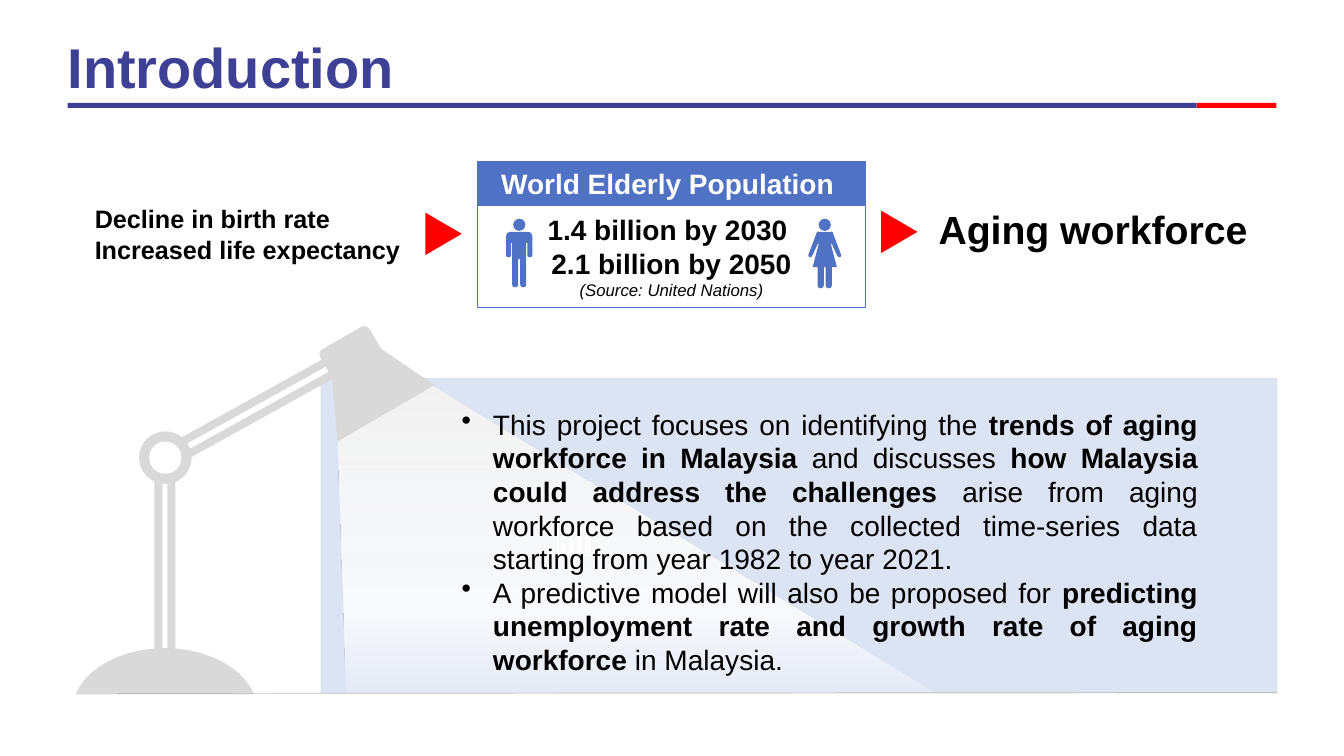
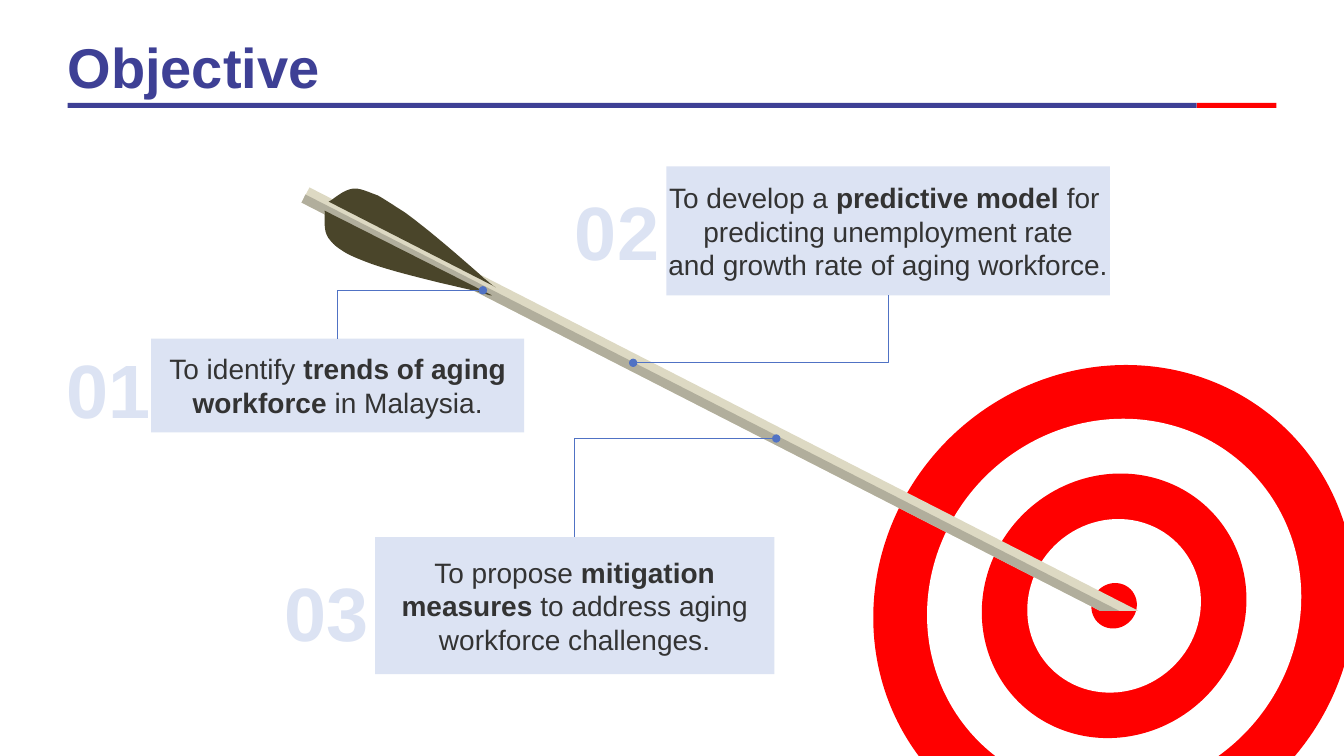
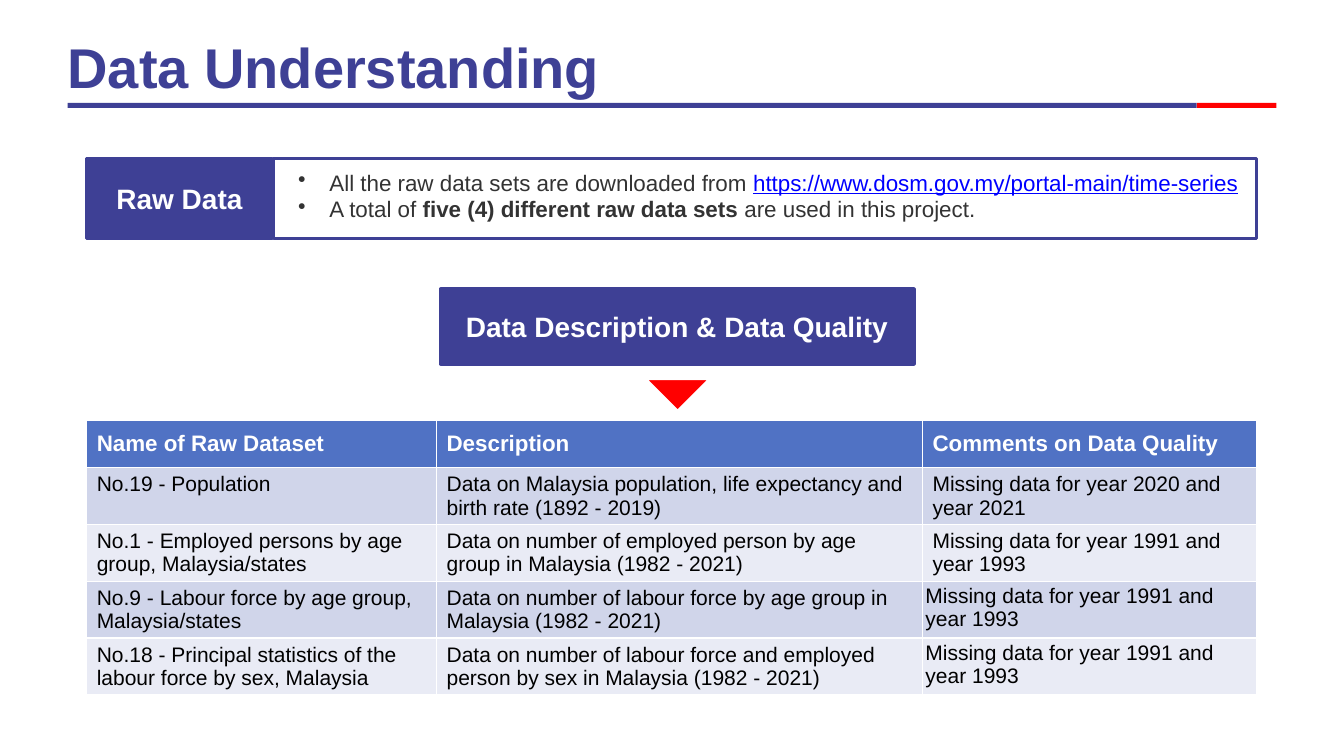
from pptx import Presentation
from pptx.dml.color import RGBColor
from pptx.enum.shapes import MSO_CONNECTOR as Link, MSO_SHAPE as Kind
from pptx.enum.text import MSO_ANCHOR as Anchor, MSO_AUTO_SIZE as Fit, PP_ALIGN as Align
from pptx.oxml import parse_xml
from pptx.oxml.ns import nsdecls, qn
from pptx.oxml.xmlchemy import OxmlElement
from pptx.util import Inches, Pt

# Shared look
FONT = "Arial"
WIDTH, HEIGHT = 13.33, 7.5
LEFT, RIGHT, RULE_SPLIT = 0.67, 12.66, 11.87
INSETS = (0.1, 0.05)
COLOURS = {
    "navy": "3E4095", "red": "FF0000", "blue": "5072C4", "pale": "DCE3F3",
    "white": "FFFFFF", "black": "000000", "ink": "333333", "link": "0000FF",
    "lamp": "D9D9D9", "ground": "BFBFBF", "shaft": "DDD9C3",
    "shade": "B1AE9C", "feather": "4A452A", "band": "D0D5EA", "light": "E9EBF5",
}

# Content: ** switches bold on and off, | breaks a line
CAUSES = ["Decline in birth rate", "Increased life expectancy"]
POPULATION = [
    "1.4 billion by 2030 ",
    "2.1 billion by 2050",
    ("(Source: United Nations)", {"size": 12, "bold": False, "italic": True}),
]
PROJECT = [
    "This project focuses on identifying the **trends of aging workforce in Malaysia "
    "**and discusses **how Malaysia could address the challenges **arise from aging "
    "workforce based on the collected time-series data starting from year 1982 to year 2021. ",
    "A predictive model will also be proposed for **predicting unemployment rate and "
    "growth rate of aging workforce **in Malaysia.",
]
# number, number centre, box, text, side joined, dot on the arrow
OBJECTIVES = [
    ("01", (1.08, 3.85), (1.5, 3.36, 3.7, 0.93),
     "To identify **trends of aging workforce **in Malaysia.", 0, (4.79, 2.88)),
    ("02", (6.12, 2.28), (6.61, 1.65, 4.4, 1.28),
     "To develop a **predictive model **for |predicting unemployment rate|"
     "and growth rate of aging workforce.", 2, (6.28, 3.6)),
    ("03", (3.24, 6.06), (3.72, 5.33, 3.96, 1.36),
     "To propose **mitigation measures **to address aging workforce challenges.",
     0, (7.7, 4.35)),
]
RAW_DATA = [
    "All the raw data sets are downloaded from "
    "**https://www.dosm.gov.my/portal-main/time-series",
    "A total of **five (4) different raw data sets **are used in this project.",
]
DATASETS = [
    ("Name of Raw Dataset", "Description", "Comments on Data Quality"),
    ("No.19 - Population",
     "Data on Malaysia population, life expectancy and birth rate (1892 - 2019)",
     "Missing data for year 2020 and year 2021"),
    ("No.1 - Employed persons by age group, Malaysia/states",
     "Data on number of employed person by age group in Malaysia (1982 - 2021)",
     "Missing data for year 1991 and year 1993"),
    ("No.9 - Labour force by age group, Malaysia/states",
     "Data on number of labour force by age group in Malaysia (1982 - 2021)",
     "Missing data for year 1991 and year 1993"),
    ("No.18 - Principal statistics of the labour force by sex, Malaysia",
     "Data on number of labour force and employed person by sex in Malaysia (1982 - 2021)",
     "Missing data for year 1991 and year 1993"),
]

# Outlines: pairs are corners, sextuples are curves
MAN = [(0, 0.13), (0.08, 0.13), (0.11, 0.13, 0.13, 0.15, 0.13, 0.18), (0.13, 0.36),
       (0.13, 0.39, 0.08, 0.39, 0.08, 0.36), (0.08, 0.24), (0.07, 0.24), (0.07, 0.65),
       (0.07, 0.69, 0.01, 0.69, 0.01, 0.65), (0.01, 0.4), (0, 0.4)]
WOMAN = [(0, 0.13), (0.05, 0.13), (0.08, 0.13, 0.07, 0.12, 0.08, 0.14), (0.16, 0.35),
         (0.17, 0.38, 0.14, 0.4, 0.12, 0.36), (0.07, 0.25), (0.06, 0.25), (0.12, 0.48),
         (0.07, 0.48), (0.07, 0.66), (0.07, 0.7, 0.01, 0.7, 0.01, 0.66), (0.01, 0.48),
         (0, 0.48)]
LAMP_BASE = [(1.64, 6.43), (2.06, 6.43, 2.42, 6.63, 2.52, 6.89), (0.75, 6.89),
             (0.85, 6.63, 1.21, 6.43, 1.64, 6.43)]
LAMP_HEAD = [(3.19, 3.47), (3.59, 3.24), (3.62, 3.23, 3.65, 3.24, 3.67, 3.27),
             (3.78, 3.46), (4.31, 3.82), (3.35, 4.38), (3.29, 3.74), (3.18, 3.55),
             (3.16, 3.52, 3.17, 3.49, 3.19, 3.47)]
BEAM = [(3.35, 4.32), (3.44, 6.92), (9.29, 6.88), (4.29, 3.83), (3.54, 4.15)]
TREND = [(5.77, 5.19), (5.83, 5.2), (5.8, 5.25), (5.79, 5.24), (5.58, 5.36),
         (5.56, 5.33), (5.78, 5.21)]
CHART_AXES = [(5.52, 5.17), (5.54, 5.17), (5.54, 5.5), (5.87, 5.5), (5.87, 5.52),
              (5.52, 5.52)]
ARROW = [
    ("shaft", [(3.07, 1.86), (11.29, 6.06), (10.91, 6.06), (2.99, 2.01)]),
    ("shade", [(3.03, 1.93), (11.1, 6.06), (10.91, 6.06), (2.99, 2.01)]),
    ("feather", [(3.45, 2.52), (3.38, 2.48, 3.32, 2.44, 3.28, 2.39),
                 (3.19, 2.3, 3.23, 2.14, 3.22, 2.09), (4.88, 2.93), (4.86, 2.93),
                 (4.82, 2.92, 4.78, 2.9, 4.73, 2.89), (4.55, 2.85, 3.99, 2.72, 3.75, 2.64),
                 (3.63, 2.6, 3.53, 2.56, 3.45, 2.52)]),
    ("feather", [(3.75, 1.94), (3.67, 1.91, 3.6, 1.88, 3.54, 1.87),
                 (3.42, 1.86, 3.31, 1.98, 3.26, 2), (4.92, 2.85), (4.9, 2.84),
                 (4.87, 2.82, 4.84, 2.79, 4.8, 2.76), (4.66, 2.63, 4.23, 2.26, 4.02, 2.11),
                 (3.91, 2.04, 3.82, 1.98, 3.75, 1.94)]),
]


def colour(name):
    return RGBColor.from_string(COLOURS[name])


def inches(lengths):
    return [Inches(length) for length in lengths]


# Shapes
def paint(shape, fill, line=None, weight=0.75):
    shape.shadow.inherit = False
    if fill:
        shape.fill.solid()
        shape.fill.fore_color.rgb = colour(fill)
    else:
        shape.fill.background()
    if line:
        shape.line.color.rgb = colour(line)
        shape.line.width = Pt(weight)
    else:
        shape.line.fill.background()
    return shape


def add_box(page, at, fill, line=None, weight=0.75, kind=Kind.RECTANGLE, turn=0):
    box = page.shapes.add_shape(kind, *inches(at))
    box.rotation = turn
    return paint(box, fill, line, weight)


def add_disc(page, centre, rx, ry, fill, turn=0):
    x, y = centre
    return add_box(page, (x - rx, y - ry, 2 * rx, 2 * ry), fill, kind=Kind.OVAL, turn=turn)


def trace(outline, steps=10):
    """Turn corners and Bezier curves into a list of points."""
    points = []
    for part in outline:
        if len(part) == 2:
            points.append(part)
            continue
        ends = [points[-1], part[:2], part[2:4], part[4:]]
        for step in range(1, steps + 1):
            t = step / steps
            shares = ((1 - t) ** 3, 3 * t * (1 - t) ** 2, 3 * t * t * (1 - t), t ** 3)
            points.append(tuple(sum(s * end[axis] for s, end in zip(shares, ends))
                                for axis in (0, 1)))
    return points


def add_outline(page, points, fill):
    grid = [(x * 1000, y * 1000) for x, y in points]
    builder = page.shapes.build_freeform(*grid[0], scale=Inches(1) / 1000)
    builder.add_line_segments(grid[1:], close=True)
    return paint(builder.convert_to_shape(), fill)


def add_person(page, x, top, half):
    right = trace(half)
    body = right + [(-dx, dy) for dx, dy in reversed(right)]
    add_outline(page, [(x + dx, top + dy) for dx, dy in body], "blue")
    add_disc(page, (x, top + 0.06), 0.06, 0.06, "blue")


def add_line(page, kind, start, end, tint):
    line = page.shapes.add_connector(kind, *inches(start + end))
    line.line.color.rgb = colour(tint)
    line.line.width = Pt(0.5)
    line.element.spPr.append(OxmlElement("a:effectLst"))
    return line


# Text
def write(box, paras, size=20, tint="black", bold=False, align=Align.LEFT,
          anchor=Anchor.MIDDLE, insets=(0, 0), bullet=False):
    frame = box.text_frame
    frame.word_wrap = True
    frame.auto_size = Fit.NONE
    frame.vertical_anchor = anchor
    frame.margin_left = frame.margin_right = Inches(insets[0])
    frame.margin_top = frame.margin_bottom = Inches(insets[1])
    for index, item in enumerate(paras):
        text, style = item if isinstance(item, tuple) else (item, {})
        para = frame.paragraphs[0] if index == 0 else frame.add_paragraph()
        para.alignment = align
        if bullet:
            props = para._p.get_or_add_pPr()
            props.set("marL", str(Inches(0.31)))
            props.set("indent", str(Inches(-0.31)))
            mark = OxmlElement("a:buChar")
            mark.set("char", "•")
            props.append(mark)
        for part, words in enumerate(text.split("**")):
            for row, piece in enumerate(words.split("|")):
                if row:
                    para.add_line_break()
                span = para.add_run()
                span.text = piece
                span.font.name = FONT
                span.font.size = Pt(style.get("size", size))
                span.font.bold = style.get("bold", bold) or part % 2 == 1
                span.font.italic = style.get("italic", False)
                span.font.color.rgb = colour(tint)
    return box


def add_text(page, at, paras, **style):
    return write(page.shapes.add_textbox(*inches(at)), paras, **style)


def add_page(deck, title):
    """A title-only slide with the two-colour rule under its title."""
    page = deck.slides.add_slide(deck.slide_layouts[5])
    head = page.shapes.title
    head.left, head.top, head.width, head.height = inches((LEFT, 0.39, 11.8, 0.62))
    write(head, [title], size=40, tint="navy", bold=True)
    head.text_frame.paragraphs[0].line_spacing = 0.9
    for start, end, fill in ((LEFT, RULE_SPLIT, "navy"), (RULE_SPLIT, RIGHT, "red")):
        add_box(page, (start, 1.02, end - start, 0.05), fill)
    return page


# Slides
def build_introduction(deck):
    page = add_page(deck, "Introduction")
    # Causes, population, effect
    add_text(page, (0.94, 2.02, 3.3, 0.76), CAUSES, size=18, bold=True, anchor=Anchor.TOP)
    add_text(page, (9.15, 2.04, 3.38, 0.57), ["Aging workforce"], size=28, bold=True,
             align=Align.CENTER, anchor=Anchor.TOP)
    for x, y in ((4.19, 2.14), (8.71, 2.12)):
        add_box(page, (x, y, 0.42, 0.36), "red", kind=Kind.ISOSCELES_TRIANGLE, turn=90)
    header = add_box(page, (4.74, 1.6, 3.84, 0.44), "blue", "blue")
    write(header, ["World Elderly Population "], tint="white", bold=True,
          align=Align.CENTER, insets=INSETS)
    figures = add_box(page, (4.74, 2.04, 3.84, 1.01), "white", "blue")
    write(figures, POPULATION, bold=True, align=Align.CENTER, insets=INSETS)
    add_person(page, 5.15, 2.17, MAN)
    add_person(page, 8.18, 2.17, WOMAN)

    # Panel lit by the lamp
    add_box(page, (3.18, 3.75, 9.49, 3.13), "pale")
    beam = add_outline(page, BEAM, "white")
    beam.fill.gradient()
    beam.fill.gradient_angle = 90
    stops = "".join(
        f'<a:gs pos="{pos}000"><a:srgbClr val="{tint}"><a:alpha val="{alpha}000"/></a:srgbClr></a:gs>'
        for pos, tint, alpha in ((0, "FFFFFF", 20), (27, "FFFFFF", 80), (100, "F2F2F2", 100)))
    old = beam.element.spPr.find(".//" + qn("a:gsLst"))
    old.getparent().replace(old, parse_xml(f"<a:gsLst {nsdecls('a')}>{stops}</a:gsLst>"))

    # Lamp
    for x, y, turn in ((2.41, 3.04, 61), (2.48, 3.16, 61), (1.53, 4.54, 0), (1.66, 4.53, 0)):
        add_box(page, (x, y, 0.08, 1.97), "lamp", turn=turn)
    for radius, fill in ((0.26, "lamp"), (0.16, "white")):
        add_disc(page, (1.64, 4.54), radius, radius, fill)
    for outline in (LAMP_BASE, LAMP_HEAD):
        add_outline(page, trace(outline), "lamp")

    # Small white chart sign
    for column, top in enumerate((5.39, 5.35, 5.32, 5.28)):
        add_box(page, (5.56 + 0.08 * column, top, 0.05, 5.49 - top), "white")
    for outline in (TREND, CHART_AXES):
        add_outline(page, outline, "white")

    add_text(page, (4.58, 4.04, 7.3, 2.67), PROJECT, align=Align.JUSTIFY,
             anchor=Anchor.TOP, bullet=True)
    add_line(page, Link.STRAIGHT, (1.16, 6.88), (12.67, 6.87), "ground")


def build_objective(deck):
    page = add_page(deck, "Objective")
    # Target and arrow
    for ring, radius in enumerate((2.33, 1.81, 1.28, 0.84, 0.22)):
        add_disc(page, (11.05, 6.01), radius, radius * 1.05,
                 "white" if ring % 2 else "red", turn=45)
    for fill, outline in ARROW:
        add_outline(page, trace(outline), fill)

    # Numbered objectives, each tied to a dot on the arrow
    for number, (x, y), at, text, side, dot in OBJECTIVES:
        add_text(page, (x - 0.6, y - 0.45, 1.2, 0.9), [number], size=54, tint="pale",
                 bold=True, align=Align.CENTER)
        box = write(add_box(page, at, "pale"), [text], tint="ink", align=Align.CENTER)
        left, top, width, height = at
        join = (left + width / 2, top + (height if side == 2 else 0))
        line = add_line(page, Link.ELBOW, dot, join, "blue")
        line.element.spPr.find(qn("a:prstGeom")).set("prst", "bentConnector2")
        line.end_connect(box, side)
        tip = OxmlElement("a:headEnd")
        tip.set("type", "oval")
        line.line._get_or_add_ln().append(tip)


def build_data(deck):
    page = add_page(deck, "Data Understanding")
    # Raw data
    links = add_text(page, (2.86, 1.57, 9.67, 0.74), RAW_DATA, size=16, tint="ink",
                     insets=INSETS, bullet=True)
    address = links.text_frame.paragraphs[0].runs[1].font
    address.bold, address.underline = False, True
    address.color.rgb = colour("link")
    add_box(page, (2.71, 1.57, 9.75, 0.8), None, "navy", 2.25)
    for at, weight, label in (((0.86, 1.57, 1.84, 0.8), 2.25, "Raw Data"),
                              ((4.37, 2.87, 4.69, 0.74), 3, "Data Description & Data Quality")):
        write(add_box(page, at, "navy", "navy", weight), [label], tint="white", bold=True,
              align=Align.CENTER, insets=INSETS)
    add_box(page, (6.48, 3.51, 0.48, 0.48), "red", "white", 3,
            kind=Kind.RIGHT_TRIANGLE, turn=315)

    # Table of datasets
    rows = [0.47] + [0.56] * (len(DATASETS) - 1)
    columns = (3.47, 4.82, 3.31)
    table = page.shapes.add_table(len(rows), len(columns), *inches(
        (0.86, 4.17, sum(columns), sum(rows)))).table
    for column, width in zip(table.columns, columns):
        column.width = Inches(width)
    for r, (height, texts) in enumerate(zip(rows, DATASETS)):
        table.rows[r].height = Inches(height)
        for c, text in enumerate(texts):
            cell = table.cell(r, c)
            cell.fill.solid()
            cell.fill.fore_color.rgb = colour("blue" if r == 0 else "band" if r % 2 else "light")
            cell.vertical_anchor = Anchor.MIDDLE if r == 0 else Anchor.TOP
            if c == 2 and r > 2:
                cell.margin_left = cell.margin_right = Inches(0.03)
                cell.margin_top = cell.margin_bottom = Inches(0.03)
            span = cell.text_frame.paragraphs[0].add_run()
            span.text = text
            span.font.name = FONT
            span.font.size = Pt(15 if r else 16)
            span.font.bold = r == 0
            span.font.color.rgb = colour("black" if r else "white")


def main():
    deck = Presentation()
    deck.slide_width, deck.slide_height = Inches(WIDTH), Inches(HEIGHT)
    for build in (build_introduction, build_objective, build_data):
        build(deck)
    deck.save("out.pptx")


if __name__ == "__main__":
    main()
